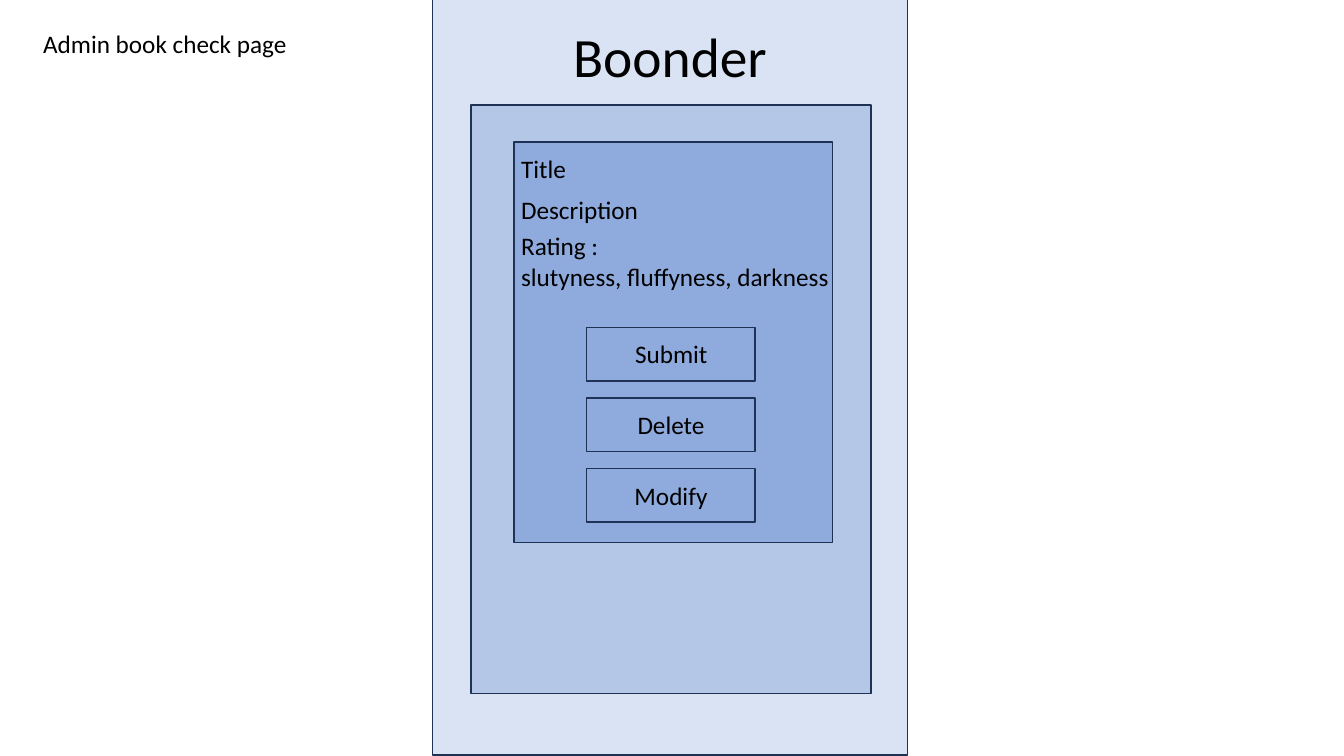
"""Builds the wireframe slide for the admin book check page."""
from pptx import Presentation
from pptx import util as u
from pptx.dml.color import RGBColor
from pptx.enum import shapes, text

BLACK = RGBColor(0x00, 0x00, 0x00)
OUTLINE = RGBColor(0x1E, 0x32, 0x56)
PAGE_BLUE = RGBColor(0xDA, 0xE3, 0xF3)
PANEL_BLUE = RGBColor(0xB4, 0xC7, 0xE7)
CARD_BLUE = RGBColor(0x8F, 0xAA, 0xDC)

deck = Presentation()
deck.slide_width = u.Inches(13.33)
deck.slide_height = u.Inches(7.5)
slide = deck.slides.add_slide(deck.slide_layouts[6])


def add_panel(left, top, width, height, fill):
    panel = slide.shapes.add_shape(
        shapes.MSO_SHAPE.RECTANGLE,
        u.Inches(left), u.Inches(top), u.Inches(width), u.Inches(height))
    panel.shadow.inherit = False
    panel.fill.solid()
    panel.fill.fore_color.rgb = fill
    panel.line.color.rgb = OUTLINE
    panel.line.width = u.Pt(1)
    return panel


def write(frame, lines, size=18, align=text.PP_ALIGN.LEFT):
    for index, line in enumerate(lines):
        paragraph = frame.paragraphs[0] if index == 0 else frame.add_paragraph()
        paragraph.alignment = align
        run = paragraph.add_run()
        run.text = line
        run.font.name = "Calibri"
        run.font.size = u.Pt(size)
        run.font.color.rgb = BLACK


add_panel(4.29, -0.01, 4.71, 7.5, PAGE_BLUE)
add_panel(4.67, 1.04, 3.97, 5.84, PANEL_BLUE)
add_panel(5.1, 1.41, 3.16, 3.97, CARD_BLUE)

app_name = slide.shapes.add_textbox(
    u.Inches(4.29), u.Inches(0.28), u.Inches(4.71), u.Inches(0.66)).text_frame
app_name.word_wrap = True
app_name.vertical_anchor = text.MSO_ANCHOR.MIDDLE
write(app_name, ["Boonder"], 39.6, text.PP_ALIGN.CENTER)
app_name.paragraphs[0].line_spacing = 0.8

for row, action in enumerate(["", "Delete", "Modify"]):
    button = add_panel(5.82, 3.25 + 0.7 * row, 1.67, 0.53, CARD_BLUE)
    if action:
        button.text_frame.vertical_anchor = text.MSO_ANCHOR.MIDDLE
        write(button.text_frame, [action], align=text.PP_ALIGN.CENTER)

labels = [
    (0.33, 0.23, 2.74, 0.4, False, ["Admin book check page"]),
    (5.07, 1.47, 0.65, 0.4, False, ["Title"]),
    (5.07, 1.88, 1.38, 0.4, False, ["Description"]),
    (5.07, 2.24, 3.29, 0.71, True, ["Rating :", "slutyness, fluffyness, darkness"]),
    (6.2, 3.31, 0.93, 0.4, False, ["Submit"]),
]
for left, top, width, height, wraps, lines in labels:
    label = slide.shapes.add_textbox(
        u.Inches(left), u.Inches(top), u.Inches(width), u.Inches(height)).text_frame
    label.word_wrap = wraps
    label.auto_size = text.MSO_AUTO_SIZE.SHAPE_TO_FIT_TEXT
    write(label, lines)

deck.save("out.pptx")
